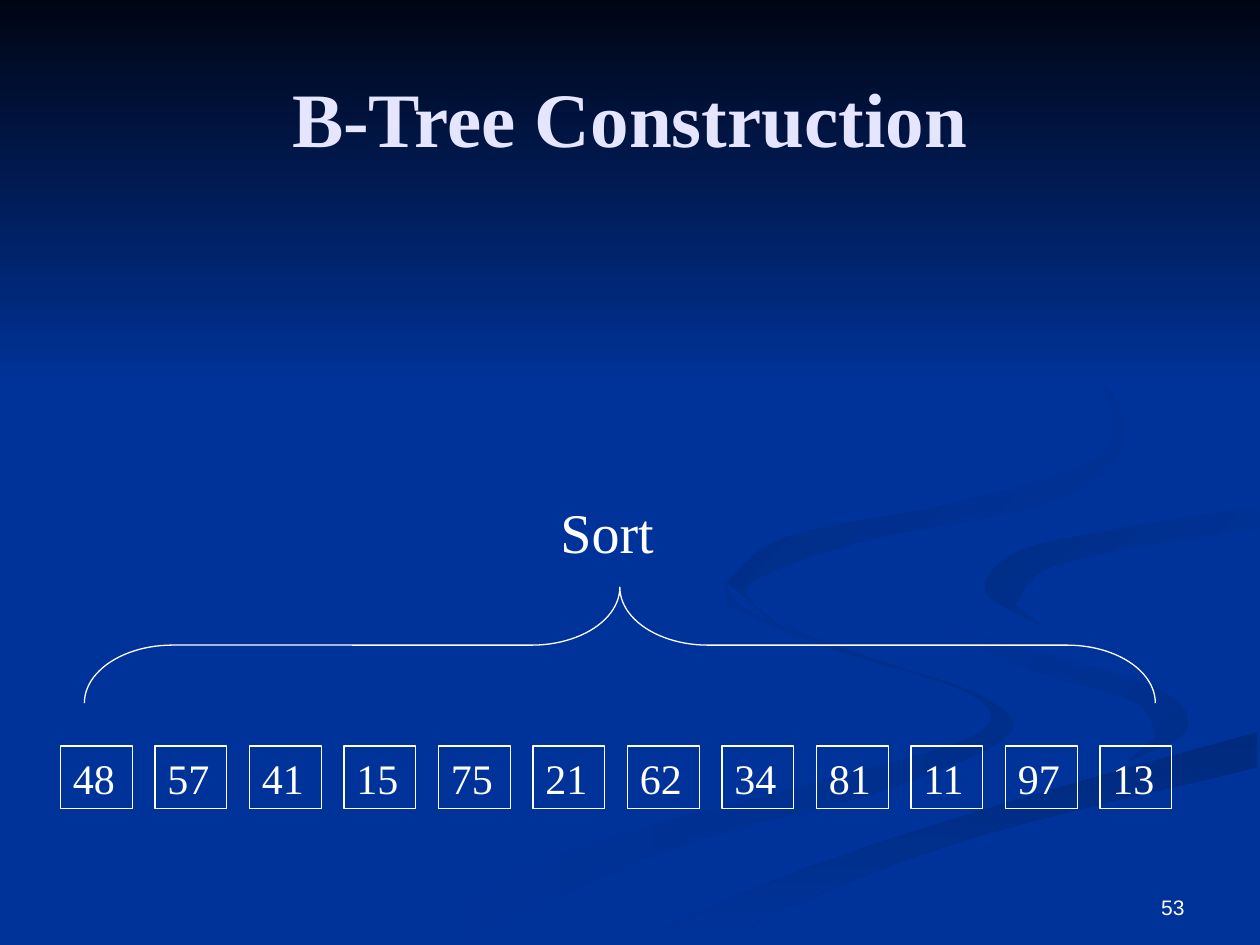
from pptx import Presentation
from pptx.dml.color import RGBColor
from pptx.enum.shapes import MSO_SHAPE as Shape
from pptx.enum.text import MSO_ANCHOR as Anchor, MSO_AUTO_SIZE as AutoSize, PP_ALIGN as Align
from pptx.util import Inches, Pt

WHITE = RGBColor(0xFF, 0xFF, 0xFF)
LAVENDER = RGBColor(0xE5, 0xE5, 0xFF)
BLUE = RGBColor(0x00, 0x33, 0x99)
NIGHT = RGBColor(0x00, 0x05, 0x14)
SHADE_LIGHT = RGBColor(0x00, 0x2E, 0x8B)
SHADE_MID = RGBColor(0x00, 0x2D, 0x86)
SHADE_DARK = RGBColor(0x00, 0x2B, 0x82)
SHADE_DEEP = RGBColor(0x00, 0x2A, 0x7D)
SERIF = "Times New Roman"

TITLE = "B-Tree Construction"
STEP = "Sort"
PAGE = "53"
KEYS = [48, 57, 41, 15, 75, 21, 62, 34, 81, 11, 97, 13]

RIBBONS = [
    (SHADE_LIGHT, BLUE, 180,
     [(5.75, 4.59), (5.94, 4.85), (6.82, 5.19), (7.81, 5.53), (7.99, 5.85), (6.99, 6.28),
      (5.32, 6.74), (3.61, 7.49)],
     [(3, 7.49), (4.58, 6.74), (6.52, 6.2), (7.74, 5.83), (7.7, 5.51), (6.54, 5.13),
      (5.76, 4.8)]),
    (SHADE_LIGHT, BLUE, 135,
     [(7.24, 4.64), (7.58, 4.98), (8.7, 5.3), (9.3, 5.53), (9.41, 5.81), (8.94, 6.05)],
     [(9.17, 5.85), (9, 5.57), (8.15, 5.3), (7.39, 4.94)]),
    (SHADE_DEEP, BLUE, 270,
     [(5.03, 7.49), (6.3, 6.93), (7.97, 6.38), (9.98, 5.81)],
     [(9.98, 6.09), (7.85, 6.61), (6.49, 7.1), (5.71, 7.49)]),
    (BLUE, SHADE_MID, 135,
     [(8.26, 4.96), (7.82, 4.69), (8.1, 4.37), (8.98, 4.18), (9.98, 4.02)],
     [(9.98, 4.2), (8.96, 4.35), (8.28, 4.53), (8.06, 4.8)]),
    (BLUE, SHADE_DARK, 135,
     [(7.62, 2.33), (8.54, 2.83), (8.94, 3.44), (8.41, 3.96), (6.83, 4.3), (5.94, 4.65),
      (6.22, 5)],
     [(5.77, 4.62), (6.25, 4.26), (7.63, 3.98), (8.76, 3.6), (8.76, 3.06)]),
]


def smooth(points, steps=6):
    padded = [points[0], *points, points[-1]]
    curve = []
    for before, start, end, after in zip(padded, padded[1:], padded[2:], padded[3:]):
        for step in range(steps):
            t = step / steps
            curve.append(tuple(
                b + ((c - a) * t + (2 * a - 5 * b + 4 * c - d) * t ** 2
                     + (3 * b - a - 3 * c + d) * t ** 3) / 2
                for a, b, c, d in zip(before, start, end, after)))
    return curve + [points[-1]]


def fill_gradient(shape, colors, angle):
    shape.shadow.inherit = False
    shape.line.fill.background()
    shape.fill.gradient()
    shape.fill.gradient_angle = angle
    for stop, color in zip(shape.fill.gradient_stops, colors):
        stop.color.rgb = color


def add_ribbon(slide, start_color, end_color, angle, outer_edge, inner_edge):
    outline = smooth(outer_edge) + smooth(inner_edge)
    corners = [(Inches(x), Inches(y)) for x, y in outline]
    builder = slide.shapes.build_freeform(*corners[0])
    builder.add_line_segments(corners[1:], close=True)
    fill_gradient(builder.convert_to_shape(), (start_color, end_color), angle)


def add_shape(slide, kind, left, top, width, height):
    return slide.shapes.add_shape(kind, Inches(left), Inches(top), Inches(width), Inches(height))


def add_outline(slide, kind, left, top, width, height):
    shape = add_shape(slide, kind, left, top, width, height)
    shape.shadow.inherit = False
    shape.fill.background()
    shape.line.color.rgb = WHITE
    shape.line.width = Pt(0.75)
    return shape


def set_text(shape, text, size, font=SERIF, color=WHITE, bold=False,
             align=Align.LEFT, anchor=Anchor.TOP, wrap=False):
    frame = shape.text_frame
    frame.word_wrap = wrap
    frame.auto_size = AutoSize.NONE if wrap else AutoSize.SHAPE_TO_FIT_TEXT
    frame.vertical_anchor = anchor
    paragraph = frame.paragraphs[0]
    paragraph.text = text
    paragraph.alignment = align
    paragraph.font.name = font
    paragraph.font.size = Pt(size)
    paragraph.font.bold = bold
    paragraph.font.color.rgb = color


def add_text(slide, left, top, width, height, text, size, **style):
    box = slide.shapes.add_textbox(Inches(left), Inches(top), Inches(width), Inches(height))
    set_text(box, text, size, **style)


def main():
    presentation = Presentation()
    presentation.slide_width = Inches(10)
    presentation.slide_height = Inches(7.5)
    slide = presentation.slides.add_slide(presentation.slide_layouts[6])
    slide.background.fill.solid()
    slide.background.fill.fore_color.rgb = BLUE

    for ribbon in RIBBONS:
        add_ribbon(slide, *ribbon)
    sky = add_shape(slide, Shape.RECTANGLE, 0, 0, 10, 3.08)
    fill_gradient(sky, (NIGHT, BLUE), 270)

    add_text(slide, 7.17, 6.83, 2.33, 0.52, PAGE, 12, font="Arial",
             align=Align.RIGHT, anchor=Anchor.BOTTOM, wrap=True)
    add_text(slide, 0.5, 0.3, 9, 1.25, TITLE, 44, color=LAVENDER, bold=True,
             align=Align.CENTER, anchor=Anchor.MIDDLE, wrap=True)

    for index, key in enumerate(KEYS):
        box = add_outline(slide, Shape.RECTANGLE, 0.48 + index * 0.75, 5.92, 0.57, 0.5)
        set_text(box, str(key), 24)

    brace = add_outline(slide, Shape.RIGHT_BRACE, 4.46, 0.87, 0.92, 8.5)
    brace.rotation = 270
    brace.adjustments[0] = 0.76
    brace.adjustments[1] = 0.5
    add_text(slide, 4.35, 3.9, 1.06, 0.64, STEP, 32)

    presentation.save("out.pptx")


if __name__ == "__main__":
    main()
